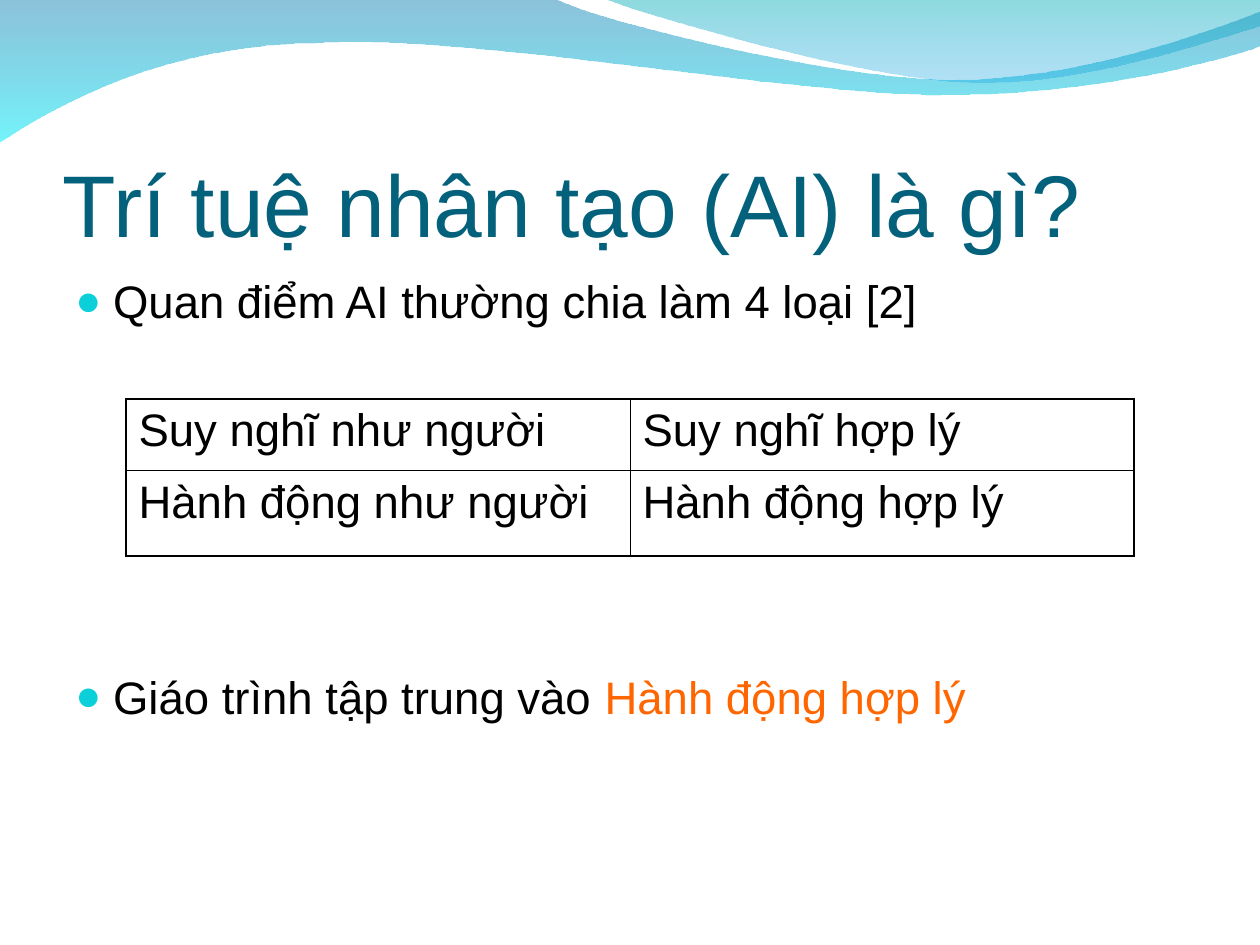
from lxml import etree
from pptx import Presentation
from pptx import util as u
from pptx.dml.color import RGBColor
from pptx.enum import text
from pptx.oxml.ns import qn

TITLE = RGBColor(0x04, 0x61, 0x7B)
BLACK = RGBColor(0, 0, 0)
ORANGE = RGBColor(0xFF, 0x66, 0x00)
BULLET = RGBColor(0x0B, 0xD0, 0xD9)
WAVE_TOP = RGBColor(0x00, 0x79, 0xAF)
WAVE_BOTTOM = RGBColor(0x00, 0xEB, 0xF8)
CREST_TOP = RGBColor(0x00, 0xAD, 0xB6)
CREST_BOTTOM = RGBColor(0x00, 0x9B, 0xE5)


def add_node(parent, tag, **attributes):
    return etree.SubElement(parent, qn(tag), {k: str(v) for k, v in attributes.items()})


class Slide:
    font = "Arial"
    body_size = 26
    columns, rows = 20, 15

    def __init__(self, deck):
        self.cell = deck.slide_width / self.columns
        self.page = deck.slides.add_slide(deck.slide_layouts[6])

    def grid(self, *lengths):
        return [u.Emu(round(length * self.cell)) for length in lengths]

    def style(self, span, size, color):
        span.font.name = self.font
        span.font.size = u.Pt(size)
        span.font.color.rgb = color

    def wave(self, start, segments, stops):
        builder = self.page.shapes.build_freeform(*self.grid(*start))
        points = [self.grid(*point) for segment in segments for point in segment]
        builder.add_line_segments(points, close=True)
        shape = builder.convert_to_shape()
        self.bend(shape, segments)
        shape.shadow.inherit = False
        shape.line.fill.background()
        shape.fill.gradient()
        shape.fill.gradient_angle = 270
        for stop, (color, opacity) in zip(shape.fill.gradient_stops, stops):
            stop.color.rgb = color
        colors = list(shape.element.spPr.iter(qn("a:srgbClr")))
        for node, (color, opacity) in zip(colors, stops):
            add_node(node, "a:alpha", val=opacity * 1000)

    def bend(self, shape, segments):
        lines = iter(list(shape.element.spPr.iter(qn("a:lnTo"))))
        for segment in segments:
            first, *others = [next(lines) for point in segment]
            if others:
                first.tag = qn("a:cubicBezTo")
                for line in others:
                    first.append(line[0])
                    line.getparent().remove(line)

    def text_box(self, left, top, width, height, insets, anchor):
        box = self.page.shapes.add_textbox(*self.grid(left, top, width, height))
        frame = box.text_frame
        frame.word_wrap = True
        frame.vertical_anchor = anchor
        frame.margin_left, frame.margin_top, frame.margin_right, frame.margin_bottom = map(u.Inches, insets)
        return frame

    def title(self, words, *place):
        frame = self.text_box(*place, (0, 0.05, 0, 0), text.MSO_ANCHOR.BOTTOM)
        frame.text = words
        self.style(frame.paragraphs[0].runs[0], 50, TITLE)

    def bullets(self, items, *place):
        frame = self.text_box(*place, (0.1, 0.05, 0.1, 0.05), text.MSO_ANCHOR.TOP)
        for i, (space, spans) in enumerate(items):
            para = frame.add_paragraph() if i else frame.paragraphs[0]
            para.space_before = u.Pt(space)
            for words, color in spans:
                span = para.add_run()
                span.text = words
                self.style(span, self.body_size, color)
            props = para._p.get_or_add_pPr()
            props.set("marL", str(u.Inches(0.3)))
            props.set("indent", str(-u.Inches(0.3)))
            add_node(add_node(props, "a:buClr"), "a:srgbClr", val=BULLET)
            add_node(props, "a:buSzPct", val=95000)
            add_node(props, "a:buFont", typeface=self.font)
            add_node(props, "a:buChar", char="●")

    def table(self, words, heights, left, top, width):
        count = len(words[0])
        place = self.grid(left, top, width, sum(heights))
        table = self.page.shapes.add_table(len(words), count, *place).table
        table.first_row = table.horz_banding = False
        for row, height in zip(table.rows, self.grid(*heights)):
            row.height = height
        for r, line in enumerate(words):
            for c, content in enumerate(line):
                cell = table.cell(r, c)
                cell.text = content
                self.style(cell.text_frame.paragraphs[0].runs[0], self.body_size, BLACK)
                outer = {"L": c == 0, "R": c == count - 1, "T": r == 0, "B": r == len(words) - 1}
                self.borders(cell, outer)

    def borders(self, cell, outer):
        props = cell._tc.get_or_add_tcPr()
        for side, is_outer in outer.items():
            line = add_node(props, f"a:ln{side}", w=u.Pt(1.08 if is_outer else 0.45))
            add_node(add_node(line, "a:solidFill"), "a:srgbClr", val=BLACK)
        cell.fill.background()


deck = Presentation()
deck.slide_width, deck.slide_height = u.Inches(10), u.Inches(7.5)
slide = Slide(deck)

slide.wave((0, -0.02), [
    [(8.8, -0.02)],
    [(9.52, 0.34), (13.28, 1.26), (15.16, 1.26)],
    [(17.06, 1.26), (19.16, 0.52), (20, 0.18)],
    [(20.02, 0.72)],
    [(19.66, 0.88), (17.4, 1.52), (14.92, 1.5)],
    [(12.44, 1.5), (7.64, 0.56), (5.14, 0.68)],
    [(2.58, 0.7), (0.92, 1.66), (-0.02, 2.26)],
], [(WAVE_TOP, 45), (WAVE_BOTTOM, 55)])
slide.wave((9.58, -0.02), [
    [(10.18, 0.22), (13.64, 1.24), (15.38, 1.3)],
    [(17.12, 1.38), (19.22, 0.64), (20, 0.42)],
    [(20, 0)],
], [(CREST_TOP, 45), (CREST_BOTTOM, 30)])

slide.title("Trí tuệ nhân tạo (AI) là gì?", 1, 1.54, 18, 2.5)
slide.bullets([
    (6.5, [("Quan điểm AI thường chia làm 4 loại [2]", BLACK)]),
    (194.7, [("Giáo trình tập trung vào ", BLACK), ("Hành động hợp lý", ORANGE)]),
], 1, 4.24, 18, 9.6)
slide.table([
    ["Suy nghĩ như người", "Suy nghĩ hợp lý"],
    ["Hành động như người", "Hành động hợp lý"],
], (1.14, 1.36), 2, 6.33, 16)

deck.save("out.pptx")
